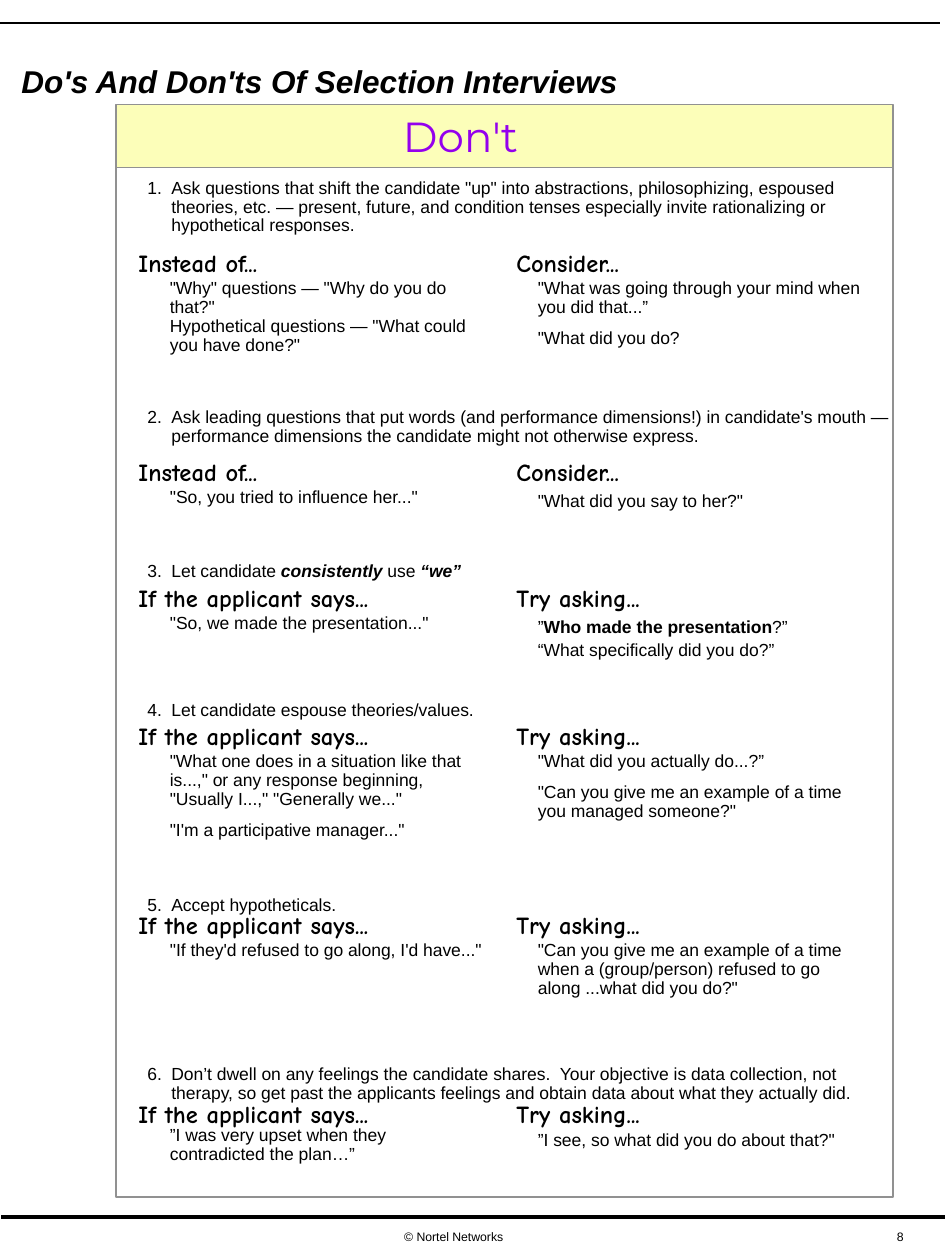
"""Build the one-page guide to the don'ts of selection interviews."""
import pptx
import pptx.dml.color
import pptx.enum.shapes
import pptx.enum.text
import pptx.util
from lxml import etree
from pptx.util import Inches

COLORS = {"ink": "000000", "banner": "FCFEB9", "frame": "919191", "accent": "9400ED"}
RGB = {name: pptx.dml.color.RGBColor.from_string(value) for name, value in COLORS.items()}
DRAWING = "{http://schemas.openxmlformats.org/drawingml/2006/main}"


def add_runs(paragraph, pieces, size, font="Arial", color="ink"):
    """Add (text, style) pieces to a paragraph; style holds b and i flags."""
    for text, style in pieces:
        if text == "\n":
            paragraph.add_line_break()
            continue
        run = paragraph.add_run()
        run.text = text
        run.font.name = font
        run.font.size = pptx.util.Pt(size)
        run.font.bold = "b" in style
        run.font.italic = "i" in style
        run.font.color.rgb = RGB[color]


def add_box(place, paragraphs, size, font="Arial", color="ink", spacing=1.0, gap=0):
    """Add a text box with one list of pieces per paragraph."""
    shape = slide.shapes.add_textbox(*map(Inches, place))
    frame = shape.text_frame
    frame.word_wrap = True
    for index, pieces in enumerate(paragraphs):
        paragraph = frame.add_paragraph() if index else frame.paragraphs[0]
        paragraph.line_spacing = spacing
        if index:
            paragraph.space_before = pptx.util.Pt(gap)
        add_runs(paragraph, pieces, size, font, color)


presentation = pptx.Presentation()
presentation.slide_width = Inches(7.5)
presentation.slide_height = Inches(10)
slide = presentation.slides.add_slide(presentation.slide_layouts[1])
title, rules = slide.placeholders

for left, right, top, weight in [(-0.01, 7.46, 0.18, 1), (0.01, 7.52, 9.66, 2)]:
    line = slide.shapes.add_connector(
        pptx.enum.shapes.MSO_CONNECTOR.STRAIGHT,
        Inches(left), Inches(top), Inches(right), Inches(top))
    line.line.color.rgb = RGB["ink"]
    line.line.width = pptx.util.Pt(weight)
    etree.SubElement(line._element.spPr, DRAWING + "effectLst")

add_box((7.02, 9.71, 0.4, 0.21), [[("8", "")]], 7)
add_box((3.11, 9.71, 1.3, 0.21), [[("© Nortel Networks", "")]], 7)

for shape, place, margin, anchor in [
    (title, (0.17, 0.41, 6.14, 0.39), 0, pptx.enum.text.MSO_ANCHOR.BOTTOM),
    (rules, (0.92, 1.33, 6.17, 8.17), 0.09, pptx.enum.text.MSO_ANCHOR.TOP),
]:
    shape.left, shape.top, shape.width, shape.height = map(Inches, place)
    frame = shape.text_frame
    frame.auto_size = pptx.enum.text.MSO_AUTO_SIZE.NONE
    frame.word_wrap = True
    frame.vertical_anchor = anchor
    frame.margin_left = frame.margin_right = 0
    frame.margin_top = frame.margin_bottom = Inches(margin)

paragraph = title.text_frame.paragraphs[0]
paragraph.alignment = pptx.enum.text.PP_ALIGN.LEFT
paragraph.line_spacing = 0.9
add_runs(paragraph, [("Do's And Don'ts Of Selection Interviews", "bi")], 18)

banner = slide.shapes.add_shape(
    pptx.enum.shapes.MSO_SHAPE.RECTANGLE, Inches(0.92), Inches(0.83), Inches(6.17), Inches(0.5))
banner.shadow.inherit = False
banner.fill.solid()
banner.fill.fore_color.rgb = RGB["banner"]
for shape in (banner, rules):
    shape.line.color.rgb = RGB["frame"]
    shape.line.width = pptx.util.Pt(1)
add_box((3.1, 0.83, 1.5, 0.5), [[("Don't", "")]], 24, "Montserrat", "accent")

rule_items = [
    (0, [('Ask questions that shift the candidate "up" into abstractions, philosophizing, '
          "espoused theories, etc. — present, future, and condition tenses especially invite "
          "rationalizing or hypothetical responses.", "")]),
    (98.8, [("Ask leading questions that put words (and performance dimensions!) in "
             "candidate's mouth — performance dimensions the candidate might not otherwise "
             "express.", "")]),
    (66.3, [("Let candidate ", ""), ("consistently", "bi"), (" use ", ""), ("“we”", "bi")]),
    (68.6, [("Let candidate espouse theories/values.", "")]),
    (100.6, [("Accept hypotheticals.", "")]),
    (85.7, [("Don’t dwell on any feelings the candidate shares.  Your objective is data "
             "collection, not therapy, so get past the applicants feelings and obtain data "
             "about what they actually did.", "")]),
]
for index, (gap, pieces) in enumerate(rule_items):
    frame = rules.text_frame
    paragraph = frame.add_paragraph() if index else frame.paragraphs[0]
    paragraph.line_spacing = 0.9
    paragraph.space_before = pptx.util.Pt(gap)
    properties = paragraph._p.get_or_add_pPr()
    properties.set("marL", str(Inches(0.44)))
    properties.set("indent", str(Inches(-0.19)))
    etree.SubElement(properties, DRAWING + "buAutoNum", type="arabicPeriod")
    add_runs(paragraph, pieces, 10)

instead = ("Instead of...", "Consider...")
applicant = ("If the applicant says...", "Try asking...")
examples = [
    (1.92, instead, 6.9,
     (2.17, 2.67, [[('"Why" questions — "Why do you do that?"', ""), ("\n", ""),
                    ('Hypothetical questions — "What could you have done?"', "")]]),
     (2.17, 2.97, [[('"What was going through your mind when you did that...”', "")],
                   [('"What did you do?', "")]])),
    (3.58, instead, 0,
     (3.83, 2.88, [[('"So, you tried to influence her..."', "")]]),
     (3.86, 3.17, [[('"What did you say to her?"', "")]])),
    (4.58, applicant, 2.5,
     (4.83, 2.88, [[('"So, we made the presentation..."', "")]]),
     (4.86, 3.17, [[("”", ""), ("Who made the presentation", "b"), ("?”", "")],
                   [("“What specifically did you do?”", "")]])),
    (5.67, applicant, 6.9,
     (5.92, 2.67, [[('"What one does in a situation like that is...," or any response '
                     'beginning, "Usually I...," "Generally we..."', "")],
                   [('"I\'m a participative manager..."', "")]]),
     (5.92, 2.75, [[('"What did you actually do...?”', "")],
                   [('"Can you give me an example of a time you managed someone?"', "")]])),
    (7.17, applicant, 0,
     (7.42, 2.75, [[('"If they\'d refused to go along, I\'d have..."', "")]]),
     (7.42, 2.92, [[('"Can you give me an example of a time when a (group/person) refused '
                     'to go along ...what did you do?"', "")]])),
    (8.67, applicant, 0,
     (8.89, 2.7, [[("”I was very upset when they contradicted the plan…”", "")]]),
     (8.93, 2.75, [[('”I see, so what did you do about that?"', "")]])),
]
for heading_top, headings, gap, *answers in examples:
    for heading_left, answer_left, heading, (top, width, paragraphs) in zip(
            (1, 4), (1.25, 4.17), headings, answers):
        add_box((heading_left, heading_top, 2.83, 0.34), [[(heading, "b")]], 14, "Comic Neue")
        add_box((answer_left, top, width, 0.25), paragraphs, 10, spacing=0.9, gap=gap)

presentation.save("out.pptx")
